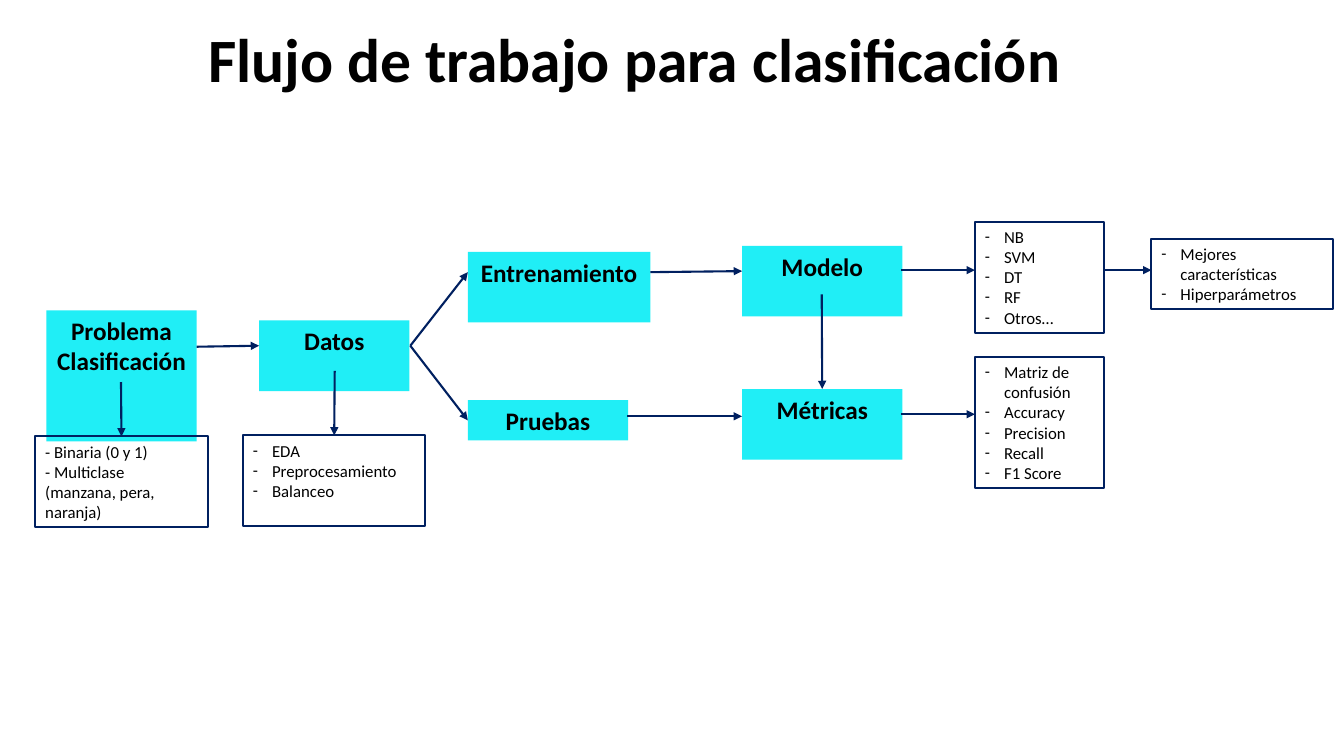
from lxml import etree
from pptx import Presentation
from pptx.dml.color import RGBColor
from pptx.enum.shapes import MSO_CONNECTOR, MSO_SHAPE
from pptx.enum.text import MSO_ANCHOR, PP_ALIGN
from pptx.oxml.ns import qn
from pptx.util import Inches, Pt

COLORS = {"step": "20EEF6", "line": "002060", "text": "000000"}
TOP, LEFT = 0, 1


def rgb(name):
    return RGBColor.from_string(COLORS[name])


def write_lines(sp, lines, size, bold, align):
    """Fill a shape with one paragraph per line, anchored at the top."""
    tf = sp.text_frame
    tf.word_wrap = True
    tf.vertical_anchor = MSO_ANCHOR.TOP
    tf.text = "\n".join(lines)
    for p in tf.paragraphs:
        p.alignment = align
        font = p.runs[0].font
        font.name, font.size, font.bold = "Calibri", Pt(size), bold
        font.color.rgb = rgb("text")


prs = Presentation()
prs.slide_width, prs.slide_height = Inches(13.33), Inches(7.5)
s = prs.slides.add_slide(prs.slide_layouts[5])

title = s.shapes.title
title.left, title.top = Inches(0.78), Inches(0)
title.width, title.height = Inches(11.04), Inches(1.24)
write_lines(title, ["Flujo de trabajo para clasificación"], 44, True, PP_ALIGN.CENTER)
title.text_frame.vertical_anchor = MSO_ANCHOR.MIDDLE
title.text_frame.paragraphs[0].line_spacing = 0.9

boxes = {}

# Steps: label, left, top, width, height
steps = [
    ("Problema Clasificación", 0.46, 3.08, 1.49, 1.3),
    ("Datos", 2.57, 3.18, 1.49, 0.7),
    ("Entrenamiento", 4.64, 2.5, 1.81, 0.7),
    ("Pruebas", 4.64, 3.97, 1.59, 0.4),
    ("Modelo", 7.36, 2.44, 1.59, 0.7),
    ("Métricas", 7.36, 3.86, 1.59, 0.7),
]
for label, *place in steps:
    sp = s.shapes.add_shape(MSO_SHAPE.RECTANGLE, *map(Inches, place))
    sp.shadow.inherit = False
    sp.fill.solid()
    sp.fill.fore_color.rgb = rgb("step")
    sp.line.fill.background()
    write_lines(sp, [label], 18, True, PP_ALIGN.CENTER)
    boxes[label] = sp

# Details: name, left, top, width, height, dash bullets, lines
details = [
    ("tipos", 0.35, 4.33, 1.71, 0.9, False,
     ["- Binaria (0 y 1)", "- Multiclase (manzana, pera, naranja)"]),
    ("preparación", 2.41, 4.32, 1.81, 0.9, True,
     ["EDA", "Preprocesamiento", "Balanceo"]),
    ("algoritmos", 9.67, 2.2, 1.28, 1.1, True,
     ["NB", "SVM", "DT", "RF", "Otros…"]),
    ("medidas", 9.67, 3.54, 1.28, 1.3, True,
     ["Matriz de confusión", "Accuracy", "Precision", "Recall", "F1 Score"]),
    ("ajuste", 11.42, 2.37, 1.8, 0.7, True,
     ["Mejores características", "Hiperparámetros"]),
]
for name, x, y, w, h, bulleted, lines in details:
    sp = s.shapes.add_shape(MSO_SHAPE.RECTANGLE, Inches(x), Inches(y), Inches(w), Inches(h))
    sp.shadow.inherit = False
    sp.fill.background()
    sp.line.color.rgb = rgb("line")
    sp.line.width = Pt(1.5)
    write_lines(sp, lines, 12, False, PP_ALIGN.LEFT)
    boxes[name] = sp
    if bulleted:
        for p in sp.text_frame.paragraphs:
            pPr = p._p.get_or_add_pPr()
            pPr.set("marL", str(Inches(0.19)))
            pPr.set("indent", str(-Inches(0.19)))
            color = etree.SubElement(pPr, qn("a:buClr"))
            etree.SubElement(color, qn("a:srgbClr"), val=COLORS["text"])
            etree.SubElement(pPr, qn("a:buFont"), typeface="Calibri")
            etree.SubElement(pPr, qn("a:buChar"), char="-")

# Arrows: start x, y, end x, y, and the box side joined at the end, if any
arrows = [
    (1.2, 3.79, 1.2, 4.33, ("tipos", TOP)),
    (1.95, 3.44, 2.57, 3.43, None),
    (3.32, 3.68, 3.32, 4.32, ("preparación", TOP)),
    (4.07, 3.43, 4.64, 2.7, None),
    (4.07, 3.43, 4.64, 4.17, ("Pruebas", LEFT)),
    (6.45, 2.7, 7.36, 2.69, None),
    (6.22, 4.13, 7.36, 4.13, None),
    (8.94, 2.68, 9.67, 2.68, None),
    (8.94, 4.11, 9.67, 4.11, None),
    (10.95, 2.68, 11.42, 2.68, None),
    (8.15, 2.92, 8.15, 3.86, ("Métricas", TOP)),
]
for *ends, joint in arrows:
    arrow = s.shapes.add_connector(MSO_CONNECTOR.STRAIGHT, *map(Inches, ends))
    if joint:
        arrow.end_connect(boxes[joint[0]], joint[1])
    arrow.line.color.rgb = rgb("line")
    arrow.line.width = Pt(1.5)
    etree.SubElement(arrow.line._get_or_add_ln(), qn("a:tailEnd"), type="triangle")
    etree.SubElement(arrow._element.spPr, qn("a:effectLst"))

prs.save("out.pptx")
